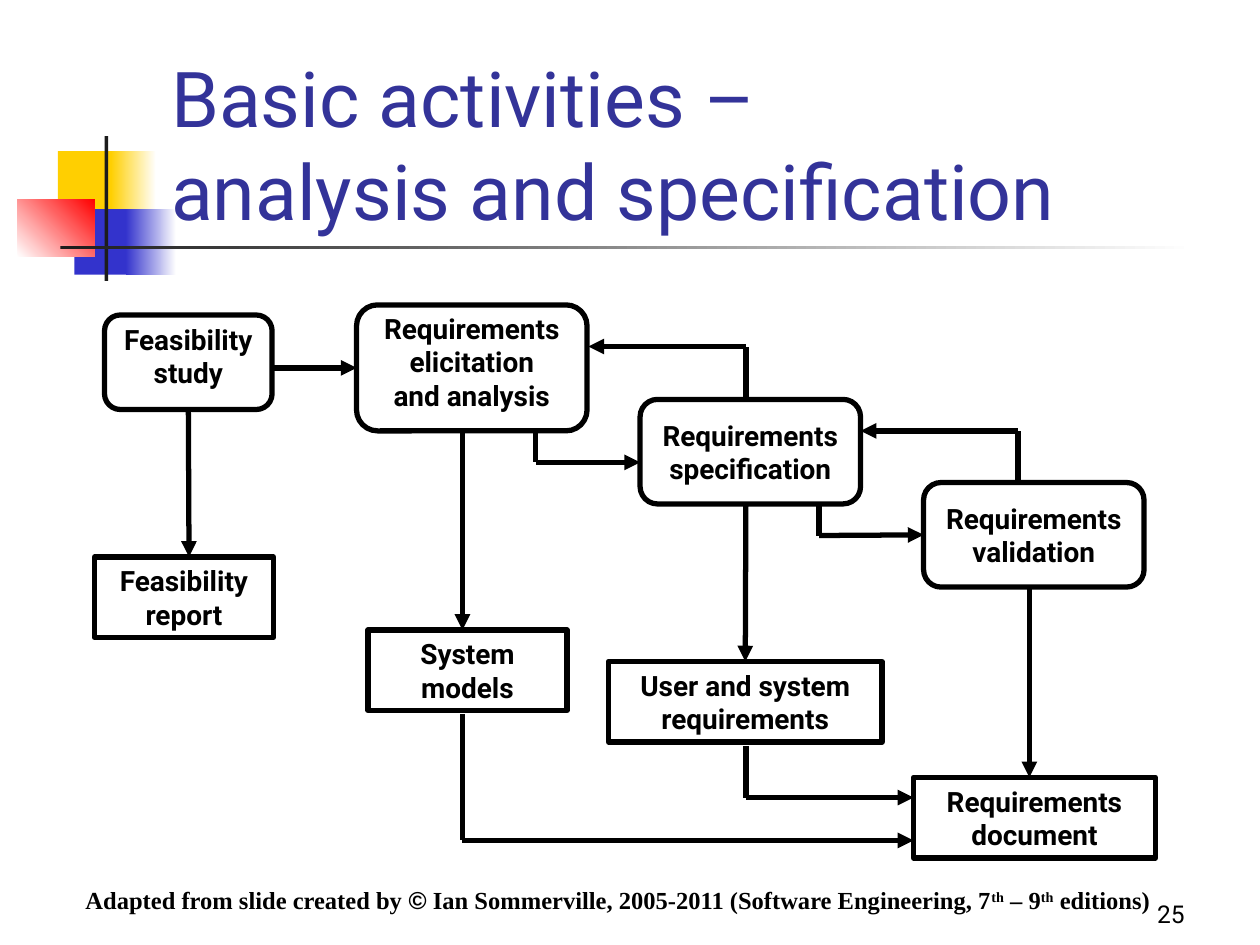
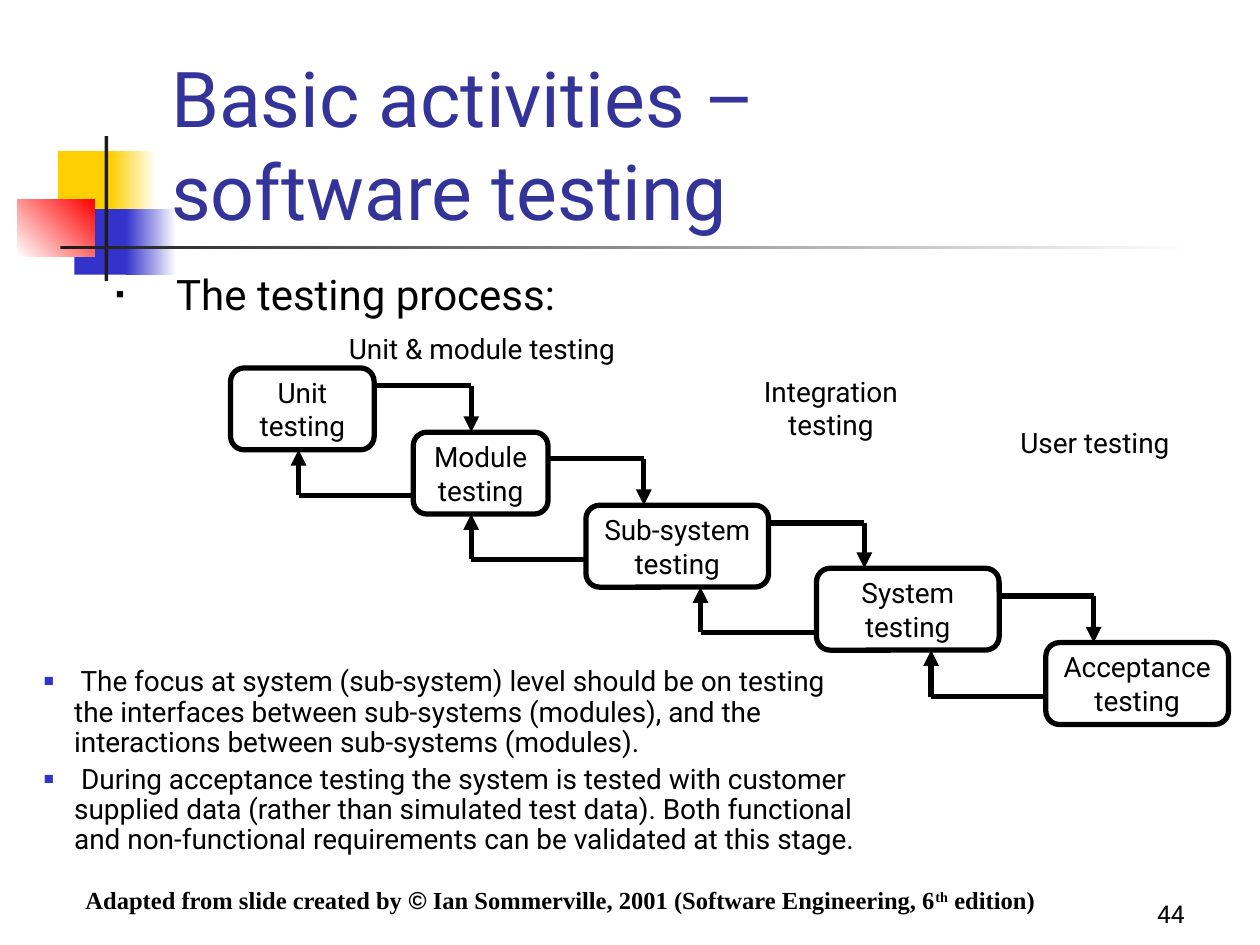
from lxml import etree
from pptx import Presentation
from pptx.dml.color import RGBColor
from pptx.enum.shapes import MSO_CONNECTOR, MSO_SHAPE
from pptx.enum.text import MSO_ANCHOR, PP_ALIGN
from pptx.oxml.ns import qn
from pptx.util import Inches, Pt

STRAIGHT = MSO_CONNECTOR.STRAIGHT
RECTANGLE, ROUNDED = MSO_SHAPE.RECTANGLE, MSO_SHAPE.ROUNDED_RECTANGLE
TOP, MIDDLE, BOTTOM = MSO_ANCHOR.TOP, MSO_ANCHOR.MIDDLE, MSO_ANCHOR.BOTTOM
LEFT, CENTER, RIGHT = PP_ALIGN.LEFT, PP_ALIGN.CENTER, PP_ALIGN.RIGHT

# Shared style
FONT, FOOTER_FONT, SYMBOL_FONT = "Roboto", "Times New Roman", "Arial"
BLACK, WHITE, TITLE_BLUE, BULLET_BLUE = "000000", "FFFFFF", "333399", "3333CC"
YELLOW, RED, DARK = "FFCF01", "FF0000", "1C1C1C"
LINE_WIDTH = 3
GLUE_DISTANCE = 0.02

# Decoration: left, top, width, height, colours (two make a gradient), angle
DECORATION = [
    (0.46, 1.2, 0.48, 0.52, [YELLOW], 0),
    (0.88, 1.2, 0.36, 0.52, [YELLOW, WHITE], 0),
    (0.59, 1.66, 0.46, 0.52, [BULLET_BLUE], 0),
    (1.0, 1.66, 0.4, 0.52, [BULLET_BLUE, WHITE], 0),
    (0.14, 1.58, 0.61, 0.46, [WHITE, RED], 45),
    (0.83, 1.08, 0.03, 1.15, [DARK], 0),
    (0.48, 1.95, 9, 0.03, [DARK, WHITE], 0),
]

# Footer runs: "©" is set in the symbol font, "th" is raised
CREDIT = ["Adapted from slide created by ", "©"]

# Slide 1: activities are left, top, width, height, text, space kept below
SPECIFICATION = {
    "title": "Basic activities –\vanalysis and specification",
    "number": "25",
    "footer": CREDIT + [" Ian Sommerville, 2005-2011 (Software Engineering, 7",
                        "th", " – 9", "th", " editions)"],
}
ACTIVITIES = [
    (0.83, 2.5, 1.33, 0.75, "Feasibility\nstudy", 0.1),
    (2.83, 2.42, 1.83, 1.0, "Requirements\nelicitation\nand analysis", 0.1),
    (5.08, 3.17, 1.75, 0.83, "Requirements\nspecification", 0),
    (7.33, 3.83, 1.75, 0.83, "Requirements\nvalidation", 0),
]
PRODUCTS = [
    (0.75, 4.42, 1.42, "Feasibility report"),
    (2.92, 5.0, 1.58, "System models"),
    (4.83, 5.25, 2.17, "User and system requirements"),
    (7.25, 6.17, 1.92, "Requirements document"),
]
PRODUCT_HEIGHT = 0.64
FLOWS = [
    [(2.17, 2.92), (2.83, 2.92)],
    [(4.25, 3.42), (4.25, 3.67), (5.08, 3.67)],
    [(5.92, 3.17), (5.92, 2.75), (4.67, 2.75)],
    [(3.67, 3.42), (3.67, 5.0)],
    [(6.5, 4.0), (6.5, 4.25), (7.33, 4.25)],
    [(8.08, 3.83), (8.08, 3.42), (6.83, 3.42)],
    [(5.92, 4.0), (5.92, 5.25)],
    [(1.5, 3.25), (1.5, 4.42)],
    [(8.17, 4.67), (8.17, 6.17)],
    [(5.92, 5.92), (5.92, 6.33), (7.25, 6.33)],
    [(3.67, 5.67), (3.67, 6.67), (7.25, 6.67)],
]

# Slide 2
TESTING = {
    "title": "Basic activities –\vsoftware testing",
    "number": "44",
    "footer": CREDIT + [" Ian Sommerville, 2001 (Software Engineering, 6",
                        "th", " edition)"],
}
TEST_STAGES = [
    (1.83, 2.92, 1.14, "Unit\ntesting"),
    (3.28, 3.43, 1.07, "Module\ntesting"),
    (4.65, 4.01, 1.45, "Sub-system\ntesting"),
    (6.48, 4.51, 1.45, "System\ntesting"),
    (8.3, 5.1, 1.45, "Acceptance\ntesting"),
]
STAGE_HEIGHT = 0.65
# Between neighbouring stages: y going out, x going down, y going back, x going up
STAGE_TURNS = [
    (3.06, 3.74, 3.93, 2.37),
    (3.64, 5.11, 4.44, 3.74),
    (4.15, 6.86, 5.02, 5.56),
    (4.73, 8.68, 5.53, 7.39),
]
STAGE_LABELS = [
    (2.67, 2.58, 2.5, 0.37, "Unit & module testing", LEFT),
    (5.88, 2.92, 1.43, 0.64, "Integration\ntesting", CENTER),
    (7.96, 3.33, 1.46, 0.37, "User testing", CENTER),
]
PROCESS_HEADING = "The testing process:"
TESTING_NOTES = [
    " The focus at system (sub-system) level should be on testing the interfaces "
    "between sub-systems (modules), and the interactions between sub-systems (modules).",
    " During acceptance testing the system is tested with customer supplied data "
    "(rather than simulated test data). Both functional and non-functional "
    "requirements can be validated at this stage.",
]


def color(value):
    return RGBColor.from_string(value)


def format_run(run, size, hue=BLACK, bold=False, font=FONT):
    run.font.size = Pt(size)
    run.font.name = font
    run.font.bold = bold
    run.font.color.rgb = color(hue)


def write(shape, text, size, hue=BLACK, bold=False, align=LEFT, anchor=TOP, wrap=True):
    frame = shape.text_frame
    frame.text = text
    frame.word_wrap = wrap
    frame.vertical_anchor = anchor
    for paragraph in frame.paragraphs:
        paragraph.alignment = align
        for run in paragraph.runs:
            format_run(run, size, hue, bold)


def add_text(slide, left, top, width, height, text, size, **style):
    box = slide.shapes.add_textbox(Inches(left), Inches(top), Inches(width), Inches(height))
    write(box, text, size, **style)
    return box


def add_bullet(paragraph, character, hue, indent):
    properties = paragraph._p.get_or_add_pPr()
    properties.set("marL", str(Inches(indent)))
    properties.set("indent", str(-Inches(indent)))
    bullet_color = etree.SubElement(properties, qn("a:buClr"))
    etree.SubElement(bullet_color, qn("a:srgbClr"), val=hue)
    etree.SubElement(properties, qn("a:buSzPct"), val="60000")
    etree.SubElement(properties, qn("a:buFont"), typeface=SYMBOL_FONT)
    etree.SubElement(properties, qn("a:buChar"), char=character)


def add_plain_shape(slide, kind, left, top, width, height):
    shape = slide.shapes.add_shape(kind, Inches(left), Inches(top), Inches(width), Inches(height))
    shape.shadow.inherit = False
    return shape


def add_box(slide, kind, left, top, width, height, text, bold, space_below=0):
    box = add_plain_shape(slide, kind, left, top, width, height)
    box.fill.background()
    box.line.color.rgb = color(BLACK)
    box.line.width = Pt(LINE_WIDTH)
    write(box, text, 16, bold=bold, align=CENTER, anchor=MIDDLE, wrap=kind == RECTANGLE)
    box.text_frame.margin_top = 0
    box.text_frame.margin_bottom = Inches(space_below)
    return box


def find_site(point, boxes):
    """Return the box and side whose middle lies at the point, if any."""
    x, y = (Inches(value) for value in point)
    for box in boxes:
        center_x, center_y = box.left + box.width // 2, box.top + box.height // 2
        sites = [(center_x, box.top), (box.left, center_y),
                 (center_x, box.top + box.height), (box.left + box.width, center_y)]
        for side, (site_x, site_y) in enumerate(sites):
            if max(abs(site_x - x), abs(site_y - y)) <= Inches(GLUE_DISTANCE):
                return box, side
    return None


def add_flow(slide, points, boxes):
    """Draw straight connectors through the points, with an arrow at the end."""
    for start, end in zip(points, points[1:]):
        connector = slide.shapes.add_connector(
            STRAIGHT, *(Inches(value) for value in start + end))
        connector.line.color.rgb = color(BLACK)
        connector.line.width = Pt(LINE_WIDTH)
        if end == points[-1]:
            etree.SubElement(connector.line._get_or_add_ln(), qn("a:tailEnd"), type="triangle")
        etree.SubElement(connector._element.spPr, qn("a:effectLst"))
        start_site, end_site = find_site(start, boxes), find_site(end, boxes)
        if start_site:
            connector.begin_connect(*start_site)
        if end_site:
            connector.end_connect(*end_site)


def add_footer(slide, parts):
    box = add_text(slide, 0.58, 7, 9.17, 0.31, "", 14)
    paragraph = box.text_frame.paragraphs[0]
    paragraph.line_spacing = 0.9
    for part in parts:
        run = paragraph.add_run()
        run.text = part
        format_run(run, 14, bold=True, font=SYMBOL_FONT if part == "©" else FOOTER_FONT)
        if part == "th":
            run._r.get_or_add_rPr().set("baseline", "30000")


def add_base_slide(presentation, content):
    slide = presentation.slides.add_slide(presentation.slide_layouts[6])
    for left, top, width, height, hues, angle in DECORATION:
        block = add_plain_shape(slide, RECTANGLE, left, top, width, height)
        block.line.fill.background()
        if len(hues) == 1:
            block.fill.solid()
            block.fill.fore_color.rgb = color(hues[0])
        else:
            block.fill.gradient()
            block.fill.gradient_angle = angle
            for stop, hue in zip(block.fill.gradient_stops, hues):
                stop.color.rgb = color(hue)
    add_text(slide, 7.42, 6.92, 2.08, 0.5, content["number"], 14, align=RIGHT, anchor=BOTTOM)
    add_text(slide, 1.26, 0.67, 8.52, 1.25, content["title"], 44, hue=TITLE_BLUE, anchor=BOTTOM)
    add_footer(slide, content["footer"])
    return slide


def build_specification(presentation):
    slide = add_base_slide(presentation, SPECIFICATION)
    boxes = [add_box(slide, ROUNDED, left, top, width, height, text, True, space_below)
             for left, top, width, height, text, space_below in ACTIVITIES]
    boxes += [add_box(slide, RECTANGLE, left, top, width, PRODUCT_HEIGHT, text, True)
              for left, top, width, text in PRODUCTS]
    for points in FLOWS:
        add_flow(slide, points, boxes)


def build_testing(presentation):
    slide = add_base_slide(presentation, TESTING)

    # Staircase of stages, with a way forward and a way back between neighbours
    boxes = [add_box(slide, ROUNDED, left, top, width, STAGE_HEIGHT, text, False)
             for left, top, width, text in TEST_STAGES]
    for stage, following, turns in zip(TEST_STAGES, TEST_STAGES[1:], STAGE_TURNS):
        left, top, width, _ = stage
        next_left, next_top, _, _ = following
        out_y, down_x, back_y, up_x = turns
        add_flow(slide, [(left + width, out_y), (down_x, out_y), (down_x, next_top)], boxes)
        add_flow(slide, [(next_left, back_y), (up_x, back_y), (up_x, top + STAGE_HEIGHT)], boxes)
    for left, top, width, height, text, align in STAGE_LABELS:
        add_text(slide, left, top, width, height, text, 16, align=align, wrap=align == LEFT)

    # Bulleted text
    heading = add_text(slide, 0.82, 2.08, 3.69, 0.5, PROCESS_HEADING, 24)
    add_bullet(heading.text_frame.paragraphs[0], "▪", BLACK, 0.48)
    notes = add_text(slide, 0.25, 5.25, 6.75, 1.84, "\n".join(TESTING_NOTES), 16)
    for index, paragraph in enumerate(notes.text_frame.paragraphs):
        add_bullet(paragraph, "■", BULLET_BLUE, 0.24)
        paragraph.line_spacing = 0.9
        paragraph.space_before = Pt(4 if index else 0)


def main():
    presentation = Presentation()
    presentation.slide_width, presentation.slide_height = Inches(10), Inches(7.5)
    build_specification(presentation)
    build_testing(presentation)
    presentation.save("out.pptx")


if __name__ == "__main__":
    main()
